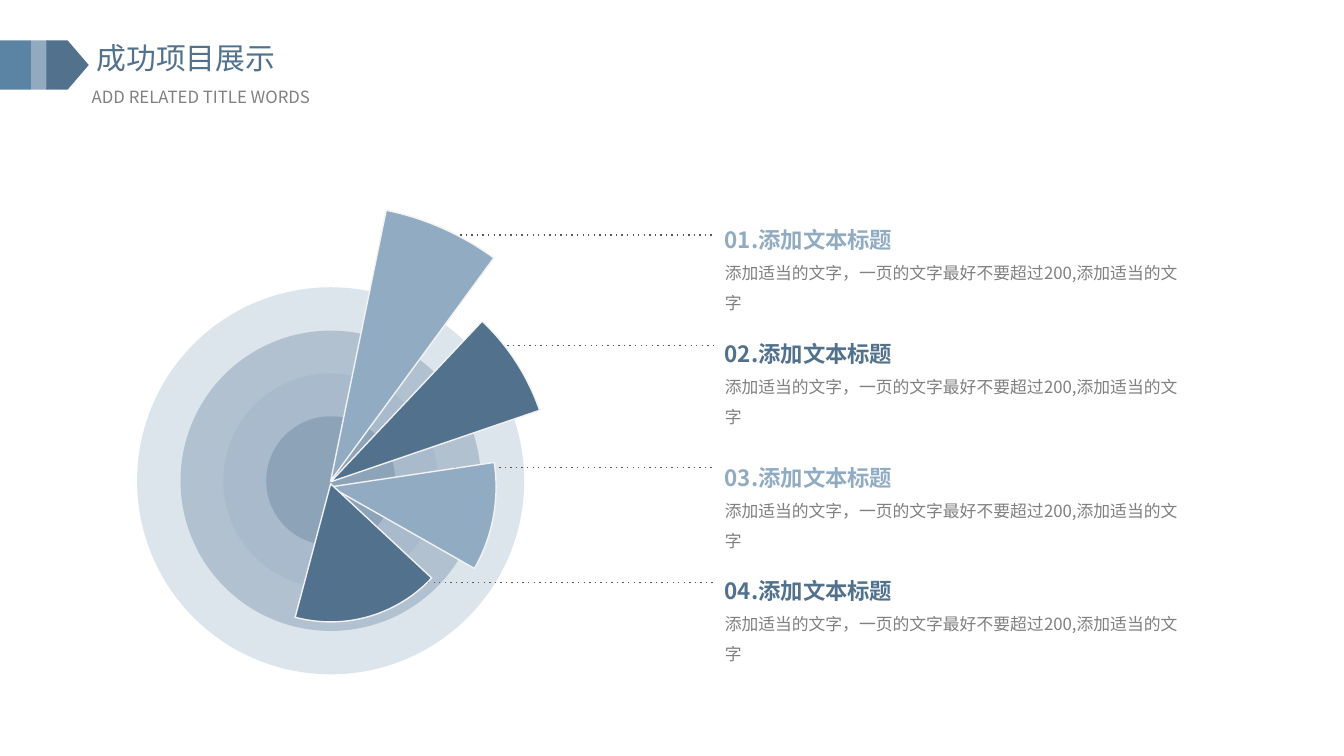
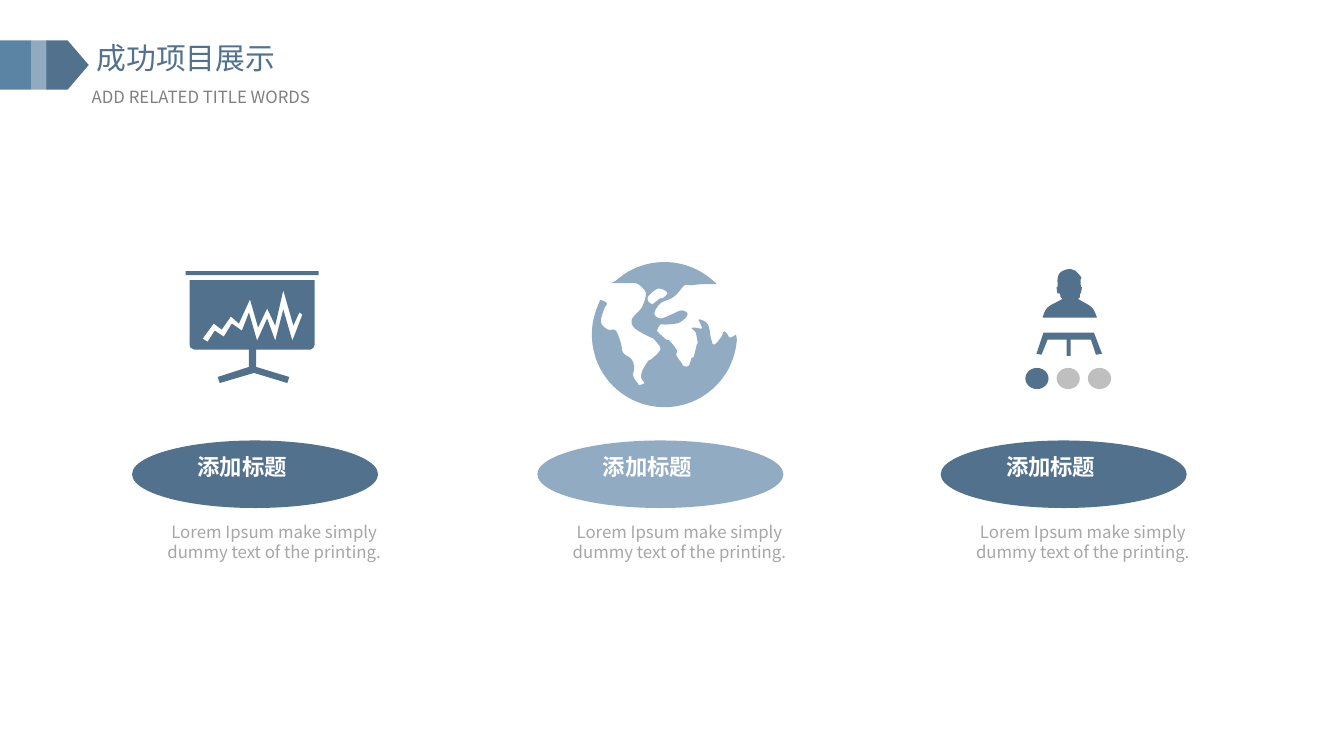
from dataclasses import dataclass
from math import cos, radians, sin

from lxml.etree import SubElement
from pptx import Presentation
from pptx.dml.color import RGBColor
from pptx.enum.shapes import MSO_CONNECTOR, MSO_SHAPE
from pptx.enum.dml import MSO_LINE
from pptx.enum.text import MSO_ANCHOR, MSO_AUTO_SIZE, PP_ALIGN
from pptx.oxml.ns import qn
from pptx.util import Pt

PX = 9144
FINE = 10


@dataclass(frozen=True)
class Theme:
    dark: str = "51718D"
    light: str = "91ACC2"
    band_left: str = "5B83A4"
    band_middle: str = "91AAC0"
    grey: str = "808080"
    pale_grey: str = "A6A6A6"
    dot_grey: str = "BFBFBF"
    leader: str = "595959"
    edge: str = "F2F2F2"
    white: str = "FFFFFF"
    font: str = "Noto Sans CJK SC"
    label_font: str = "Arial"
    title_size: float = 21.3
    heading_size: float = 16
    text_size: float = 12


T = Theme()

BOARD = [
    (4, 9), (4, 73), (5, 76), (9, 78), (63, 78), (63, 95), (32, 105), (34, 111),
    (68, 101), (101, 111), (103, 105), (70, 95), (70, 78), (124, 78), (127, 76),
    (128, 73), (128, 9),
]
TREND = [
    (106, 69), (97, 38), (89, 69), (81, 47), (71, 69), (63, 41), (56, 59), (46, 52),
    (38, 65), (29, 59), (22, 70), (17, 67), (28, 52), (36, 58), (45, 45), (53, 52),
    (64, 28), (72, 56), (81, 37), (89, 54), (97, 19), (107, 54), (113, 41), (116, 43),
]
EAST_COAST = [
    (143, 72), (137, 75), (134, 71), (131, 69), (128, 75), (121, 82), (118, 75),
    (116, 64), (112, 59), (106, 57), (108, 62), (109, 66), (102, 65), (99, 66),
    (103, 70), (105, 81), (104, 82), (101, 94), (99, 95), (96, 103), (91, 103),
    (89, 100), (84, 93), (84, 87), (77, 78), (74, 77), (65, 69), (65, 67), (68, 62),
    (74, 62), (87, 60), (95, 52), (89, 48), (79, 52), (68, 56), (62, 51), (68, 41),
    (79, 36), (85, 31), (92, 23), (98, 23), (109, 22), (116, 22), (124, 22),
]
WEST_COAST = [
    (19, 21), (29, 21), (41, 21), (46, 22), (53, 29), (53, 36), (49, 46), (40, 56),
    (41, 64), (49, 70), (61, 76), (62, 77), (68, 85), (65, 91), (58, 97), (56, 98),
    (50, 108), (49, 115), (52, 120), (47, 122), (46, 121), (41, 113), (42, 104),
    (39, 96), (31, 90), (29, 81), (25, 70), (22, 67), (16, 67), (9, 60), (12, 47),
    (15, 41), (10, 38), (8, 38),
]
ISLAND = [
    (60, 42), (56, 39), (56, 34), (64, 27), (70, 27), (75, 31), (70, 36), (68, 36),
    (60, 42),
]
BUST = [
    (71, 49), (66, 39), (53, 31), (54, 29), (54, 25), (55, 25), (56, 19), (55, 18),
    (55, 10), (56, 10), (50, 3), (43, 1), (35, 4), (32, 10), (32, 18), (31, 19),
    (32, 25), (34, 25), (35, 29), (36, 31), (22, 39), (17, 49),
]
BRANCHES = [
    (68, 64), (18, 64), (11, 85), (16, 86), (22, 71), (41, 71), (41, 87), (45, 87),
    (45, 71), (65, 71), (70, 86), (76, 85),
]


def px(*lengths):
    return [round(length * PX) for length in lengths]


def rgb(colour):
    return RGBColor.from_string(colour)


def paint(shape, colour, alpha=None, edge=None):
    shape.shadow.inherit = False
    shape.fill.solid()
    shape.fill.fore_color.rgb = rgb(colour)
    if alpha:
        tint = shape.element.spPr.find(qn("a:solidFill"))[0]
        SubElement(tint, qn("a:alpha")).set("val", str(alpha * 1000))
    if edge:
        shape.line.color.rgb = rgb(edge)
        shape.line.width = Pt(1)
    else:
        shape.line.fill.background()
    return shape


def add_preset(slide, preset, box, colour, **finish):
    return paint(slide.shapes.add_shape(preset, *px(*box)), colour, **finish)


def add_outline(slide, left, top, contours, colour):
    fine = [[(x * FINE, y * FINE) for x, y in contour] for contour in contours]
    builder = slide.shapes.build_freeform(*fine[0][0], scale=PX / FINE)
    for index, contour in enumerate(fine):
        if index:
            builder.move_to(*contour[0])
        builder.add_line_segments(contour[1:], close=True)
    return paint(builder.convert_to_shape(*px(left, top)), colour)


def spline(points, steps=4):
    padded = [points[0], *points, points[-1]]
    curve = []
    for a, b, c, d in zip(padded, padded[1:], padded[2:], padded[3:]):
        for t in (step / steps for step in range(steps)):
            curve.append(tuple(
                (2 * q + (r - p) * t + (2 * p - 5 * q + 4 * r - s) * t ** 2
                 + (3 * q - p - 3 * r + s) * t ** 3) / 2
                for p, q, r, s in zip(a, b, c, d)))
    return curve + [points[-1]]


def arc(radius, start, end, step=-4):
    return [(radius + radius * cos(radians(angle)), radius + radius * sin(radians(angle)))
            for angle in range(start, end, step)]


def style(paragraph, size, colour, font=T.font, bold=False, align=None, spacing=None):
    paragraph.alignment = align
    paragraph.line_spacing = spacing
    for run in paragraph.runs:
        run.font.size = Pt(size)
        run.font.bold = bold
        run.font.name = font
        run.font.color.rgb = rgb(colour)
        SubElement(run.font._element, qn("a:ea")).set("typeface", font)


def add_text(slide, box, text):
    frame = slide.shapes.add_textbox(*px(*box)).text_frame
    frame.word_wrap = True
    frame.auto_size = MSO_AUTO_SIZE.SHAPE_TO_FIT_TEXT
    frame.text = text
    return frame.paragraphs


def fill_placeholder(holder, box, text, size, colour):
    holder.left, holder.top, holder.width, holder.height = px(*box)
    frame = holder.text_frame
    frame.text = text
    frame.word_wrap = True
    frame.vertical_anchor = MSO_ANCHOR.TOP
    frame.auto_size = MSO_AUTO_SIZE.SHAPE_TO_FIT_TEXT
    paragraph = frame.paragraphs[0]
    style(paragraph, size, colour, align=PP_ALIGN.JUSTIFY)
    paragraph.space_before = Pt(0)
    properties = paragraph._p.get_or_add_pPr()
    properties.set("marL", "0")
    properties.set("indent", "0")
    SubElement(properties, qn("a:buNone"))


def add_header(slide):
    fill_placeholder(slide.shapes.title, (86, 34, 268, 46), "成功项目展示",
                     T.title_size, T.dark)
    fill_placeholder(slide.placeholders[1], (81, 81, 297, 30), "ADD RELATED TITLE WORDS",
                     T.text_size, T.grey)


def add_bands(layout, slide):
    bands = [
        (MSO_SHAPE.RECTANGLE, 0, 31, T.band_left),
        (MSO_SHAPE.RECTANGLE, 31, 16, T.band_middle),
        (MSO_SHAPE.PENTAGON, 46, 42, T.dark),
    ]
    for number, (preset, left, width, colour) in enumerate(bands, 20):
        band = add_preset(slide, preset, (left, 40, width, 49), colour).element
        band.xpath("./p:nvSpPr/p:cNvPr")[0].set("id", str(number))
        layout.shapes.element.append(band)


def add_rings(slide, left, top, size):
    for index, diameter in enumerate((size, 298, 213, 128)):
        inset = (size - diameter) / 2
        add_preset(slide, MSO_SHAPE.OVAL, (left + inset, top + inset, diameter, diameter),
                   (T.light, T.dark)[index % 2], alpha=30)


def add_wedges(slide, centre_x, centre_y):
    wedges = [(274, 0, 281.6, 306.2), (219, 1, 313.3, 341.1),
              (164, 6, 351.5, 29.6), (137, 3, 43, 104.9)]
    for index, (radius, drop, start, end) in enumerate(wedges):
        box = (centre_x - radius, centre_y + drop - radius, 2 * radius, 2 * radius)
        wedge = add_preset(slide, MSO_SHAPE.PIE, box, (T.light, T.dark)[index % 2],
                           edge=T.edge)
        wedge.adjustments[0] = start * 0.6
        wedge.adjustments[1] = end * 0.6


def add_leader(slide, start, end, y):
    leader = slide.shapes.add_connector(MSO_CONNECTOR.STRAIGHT, *px(start, y, end, y))
    leader.line.color.rgb = rgb(T.leader)
    leader.line.width = Pt(1)
    leader.line.dash_style = MSO_LINE.ROUND_DOT
    properties = leader.element.spPr
    properties.find(".//" + qn("a:prstDash")).set("val", "dot")
    SubElement(properties, qn("a:effectLst"))


def add_entry(slide, box, number, colour):
    heading, detail = add_text(
        slide, box,
        f"{number:02}.添加文本标题\n添加适当的文字，一页的文字最好不要超过200,添加适当的文字")
    style(heading, T.heading_size, colour, bold=True, spacing=1.5)
    style(detail, T.text_size, T.grey, spacing=1.5)


def add_board(slide, left, top, colour):
    add_preset(slide, MSO_SHAPE.RECTANGLE, (left, top, 132, 4), colour)
    add_outline(slide, left, top, [BOARD, TREND], colour)


def add_globe(slide, left, top, colour):
    outline = (spline(EAST_COAST) + arc(72, -48, -136)
               + spline(WEST_COAST) + arc(72, 204, 0))
    add_outline(slide, left, top, [outline, spline(ISLAND)], colour)


def add_team(slide, left, top, colour):
    add_outline(slide, left, top, [spline(BUST)], colour)
    for index, fill in enumerate((colour, T.dot_grey, T.dot_grey)):
        add_preset(slide, MSO_SHAPE.OVAL, (left + 31 * index, top + 99, 23, 21), fill)
    add_outline(slide, left, top, [BRANCHES], colour)


def add_column(slide, left, top, add_icon, icon_x, icon_y, colour):
    add_icon(slide, left + icon_x, top + icon_y, colour)
    add_preset(slide, MSO_SHAPE.OVAL, (left, top + 177, 244, 67), colour)
    caption, = add_text(slide, (left + 2, top + 253, 278, 50),
                        "Lorem Ipsum make simply dummy text of the printing.")
    style(caption, T.text_size, T.pale_grey, align=PP_ALIGN.CENTER)
    label, = add_text(slide, (left + 55, top + 185, 134, 37), "添加标题")
    style(label, T.heading_size, T.white, T.label_font, bold=True)


def build_wedge_slide(slide):
    add_header(slide)
    add_rings(slide, 136, 285, 384)
    entries = [(206, 451, 233), (319, 492, 343), (442, 451, 464), (554, 419, 578)]
    for number, (top, start, y) in enumerate(entries, 1):
        add_leader(slide, start, 709, y)
        add_entry(slide, (709, top, 480, 111), number, (T.dark, T.light)[number % 2])
    add_wedges(slide, 328, 477)


def build_icon_slide(slide):
    add_header(slide)
    add_column(slide, 131, 260, add_board, 53, 9, T.dark)
    add_column(slide, 533, 260, add_globe, 54, 0, T.light)
    add_column(slide, 933, 260, add_team, 84, 6, T.dark)


def main():
    deck = Presentation()
    deck.slide_width, deck.slide_height = px(1333, 750)
    layout = deck.slide_layouts[1]
    wedge_slide, icon_slide = (deck.slides.add_slide(layout) for _ in range(2))
    add_bands(layout, wedge_slide)
    build_wedge_slide(wedge_slide)
    build_icon_slide(icon_slide)
    deck.save("out.pptx")


if __name__ == "__main__":
    main()
